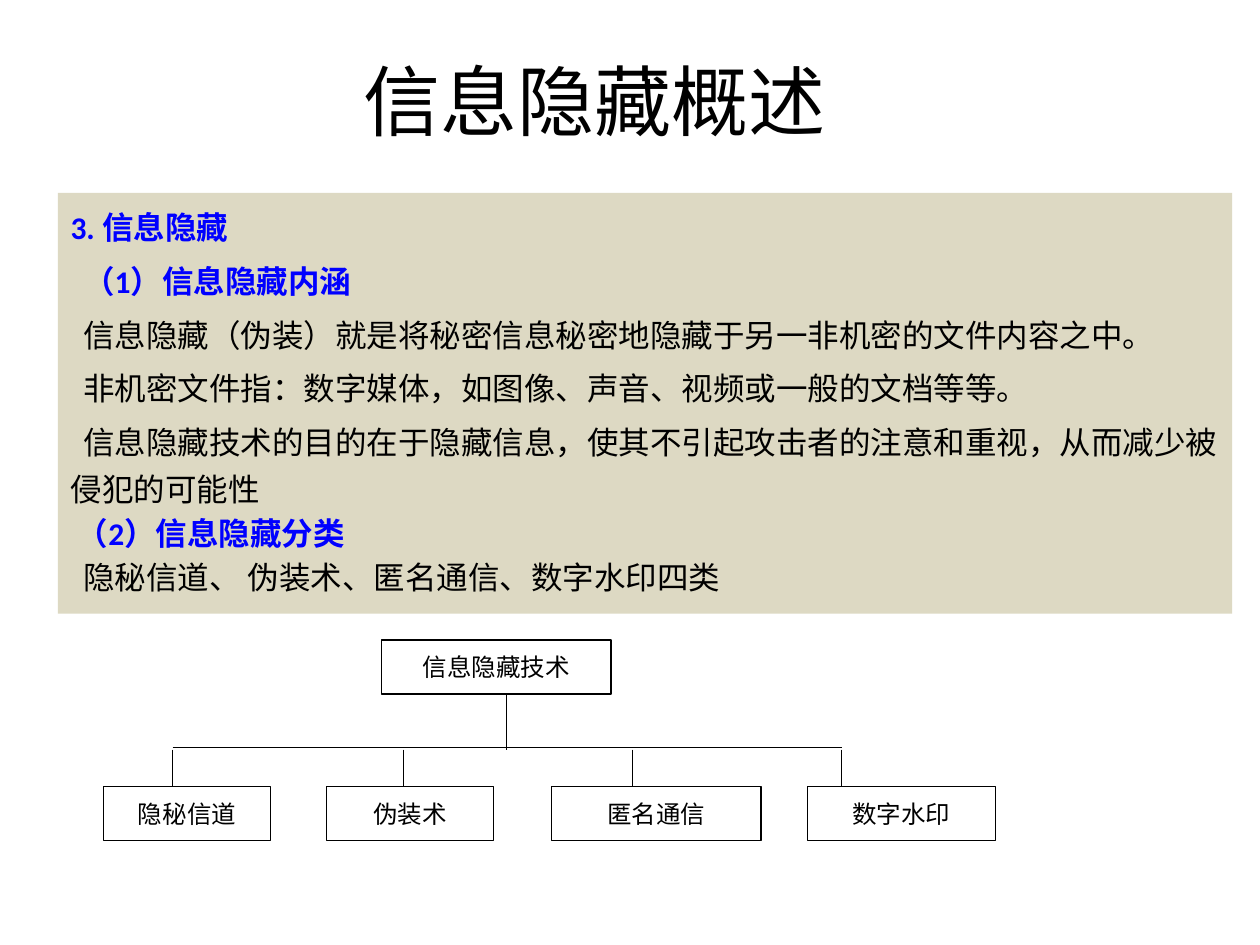
from pptx import Presentation
from pptx.dml.color import RGBColor
from pptx.enum.shapes import MSO_CONNECTOR, MSO_SHAPE
from pptx.enum.text import MSO_ANCHOR, MSO_AUTO_SIZE, PP_ALIGN
from pptx.oxml.ns import qn
from pptx.util import Inches, Pt
from lxml.etree import SubElement

COLORS = {"ink": "000000", "heading": "0000FF", "panel": "DDD9C3", "paper": "FFFFFF"}
CJK = "Noto Sans CJK SC"
TITLE = "信息隐藏概述"
# text, is heading, first-line indent, line spacing
BODY = [
    ("3. 信息隐藏", True, 0, 1.25),
    ("（1）信息隐藏内涵", True, 0.1, 1.25),
    ("信息隐藏（伪装）就是将秘密信息秘密地隐藏于另一非机密的文件内容之中。", False, 0.1, 1.25),
    ("非机密文件指：数字媒体，如图像、声音、视频或一般的文档等等。", False, 0.1, 1.25),
    ("信息隐藏技术的目的在于隐藏信息，使其不引起攻击者的注意和重视，从而减少被侵犯的可能性", False, 0.1, 1.25),
    ("（2）信息隐藏分类", True, 0.05, 1),
    ("隐秘信道、 伪装术、匿名通信、数字水印四类", False, 0.1, 1),
]
ROOT = ("信息隐藏技术", 3.03, 1.82, 4.02)
BRANCHES = [
    ("隐秘信道", 0.82, 1.33, 1.37),
    ("伪装术", 2.59, 1.33, 3.2),
    ("匿名通信", 4.38, 1.66, 5.02),
    ("数字水印", 6.41, 1.49, 6.68),
]
ROOT_TOP, BRANCH_TOP, BOX_HEIGHT = 5.08, 6.24, 0.43
BUS, JOINT = 5.93, 5.95


def color(name):
    return RGBColor.from_string(COLORS[name])


def place(part, left, top, width, height):
    part.left, part.top, part.width, part.height = map(Inches, (left, top, width, height))


def style(paragraph, size, latin, ink="ink", bold=False):
    for run in paragraph.runs:
        run.font.size, run.font.name, run.font.bold = Pt(size), latin, bold
        run.font.color.rgb = color(ink)
        SubElement(run.font._element, qn("a:ea")).set("typeface", CJK)


def add_box(slide, label, left, top, width):
    box = slide.shapes.add_shape(MSO_SHAPE.RECTANGLE, 0, 0, 0, 0)
    place(box, left, top, width, BOX_HEIGHT)
    box.shadow.inherit = False
    box.fill.solid()
    box.fill.fore_color.rgb = color("paper")
    box.line.color.rgb = color("ink")
    box.line.width = Pt(0.75)
    frame = box.text_frame
    frame.text = label
    frame.vertical_anchor = MSO_ANCHOR.MIDDLE
    frame.paragraphs[0].alignment = PP_ALIGN.CENTER
    style(frame.paragraphs[0], 14, "Times New Roman")


def add_line(slide, *ends):
    line = slide.shapes.add_connector(MSO_CONNECTOR.STRAIGHT, *map(Inches, ends))
    line.line.color.rgb = color("ink")
    line.line.width = Pt(0.75)
    SubElement(line._element.spPr, qn("a:effectLst"))


def fill_body(body):
    place(body, 0.46, 1.53, 9.32, 3.34)
    body.fill.solid()
    body.fill.fore_color.rgb = color("panel")
    frame = body.text_frame
    frame.text = "\n".join(text for text, *_ in BODY)
    frame.auto_size = MSO_AUTO_SIZE.NONE
    frame.word_wrap = True
    for paragraph, (_, heading, indent, spacing) in zip(frame.paragraphs, BODY):
        paragraph.line_spacing = float(spacing)
        paragraph.space_before = Pt(3.6)
        properties = paragraph._p.get_or_add_pPr()
        properties.set("marL", "0")
        properties.set("indent", str(Inches(indent)))
        SubElement(properties, qn("a:buNone"))
        style(paragraph, 18, "Calibri" if heading else CJK,
              "heading" if heading else "ink", heading)


def main():
    """Build the information hiding overview slide."""
    deck = Presentation()
    deck.slide_width, deck.slide_height = Inches(10), Inches(7.5)
    slide = deck.slides.add_slide(deck.slide_layouts[1])
    title, body = slide.placeholders
    fill_body(body)
    place(title, 0.46, 0.26, 8.52, 1.06)
    title.text_frame.text = TITLE
    title.text_frame.vertical_anchor = MSO_ANCHOR.MIDDLE
    title.text_frame.paragraphs[0].alignment = PP_ALIGN.CENTER
    style(title.text_frame.paragraphs[0], 44, "Calibri")

    label, left, width, stem = ROOT
    add_box(slide, label, left, ROOT_TOP, width)
    add_line(slide, stem, ROOT_TOP + BOX_HEIGHT, stem, JOINT)
    add_line(slide, BRANCHES[0][-1], BUS, BRANCHES[-1][-1], BUS)
    for label, left, width, stem in BRANCHES:
        add_box(slide, label, left, BRANCH_TOP, width)
        add_line(slide, stem, JOINT, stem, BRANCH_TOP)
    deck.save("out.pptx")


main()
